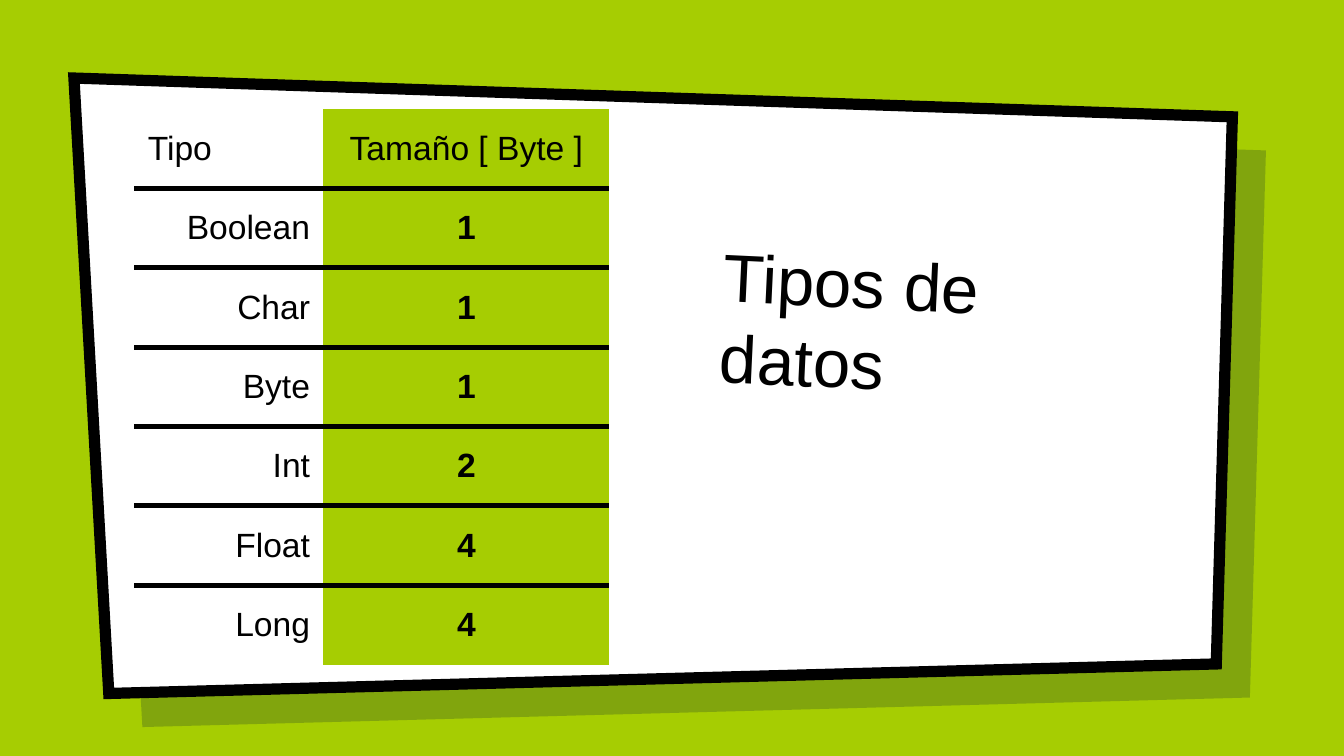
import pptx
import pptx.dml.color
import pptx.enum.text
import pptx.oxml.ns
import pptx.util
from lxml import etree

Pt = pptx.util.Pt
qn = pptx.oxml.ns.qn
ALIGN = pptx.enum.text.PP_ALIGN
ANCHOR = pptx.enum.text.MSO_ANCHOR

LIME, WHITE, BLACK, NAVY = "A6CD02", "FFFFFF", "000000", "001936"
FONT = "Arial"
TITLE = "Tipos de datos"
HEADER = ("Tipo", "Tamaño [ Byte ]")
TYPES = [
    ("Boolean", "1"),
    ("Char", "1"),
    ("Byte", "1"),
    ("Int", "2"),
    ("Float", "4"),
    ("Long", "4"),
]
PANEL = [(39.6, 41.8), (660.2, 62.6), (651.6, 355.7), (58.3, 371.5)]
SHADOW_OFFSET = 18
COLUMN_WIDTHS = (101.3, 153.2)
ROW_HEIGHT = 42.55


def color(hex_text):
    return pptx.dml.color.RGBColor.from_string(hex_text)


def paint(fill, hex_text):
    fill.solid()
    fill.fore_color.rgb = color(hex_text)


def format_text(frame, size, align, bold=False):
    for para in frame.paragraphs:
        para.alignment = align
        for span in para.runs:
            span.font.name = FONT
            span.font.size = Pt(size)
            span.font.bold = bold
            span.font.color.rgb = color(BLACK)


def add_panel(page, offset, fill):
    points = [(Pt(x + offset), Pt(y + offset)) for x, y in PANEL]
    builder = page.shapes.build_freeform(*points[0])
    builder.add_line_segments(points[1:], close=True)
    panel = builder.convert_to_shape()
    panel.shadow.inherit = False
    paint(panel.fill, fill)
    return panel


def set_borders(cell, ruled_sides):
    properties = cell._tc.get_or_add_tcPr()
    for side in ("lnL", "lnR", "lnT", "lnB"):
        border = etree.SubElement(properties, qn("a:" + side), w=str(Pt(3)))
        if side in ruled_sides:
            fill = etree.SubElement(border, qn("a:solidFill"))
            etree.SubElement(fill, qn("a:srgbClr"), val=BLACK)
        else:
            etree.SubElement(border, qn("a:noFill"))


def add_type_table(page):
    rows = [HEADER] + TYPES
    frame = page.shapes.add_table(
        len(rows), len(HEADER), Pt(72), Pt(58.3),
        Pt(sum(COLUMN_WIDTHS)), Pt(ROW_HEIGHT * len(rows)))
    table = frame.table
    table.first_row = False
    table.horz_banding = False
    for column, width in zip(table.columns, COLUMN_WIDTHS):
        column.width = Pt(width)
    for r, values in enumerate(rows):
        table.rows[r].height = Pt(ROW_HEIGHT)
        for c, value in enumerate(values):
            cell = table.cell(r, c)
            cell.text_frame.text = value
            cell.vertical_anchor = ANCHOR.MIDDLE
            cell.margin_left = cell.margin_right = Pt(7.2)
            cell.margin_top = cell.margin_bottom = Pt(5)
            first_align = ALIGN.RIGHT if r else ALIGN.LEFT
            align = ALIGN.CENTER if c else first_align
            format_text(cell.text_frame, 18, align, bold=r > 0 and c == 1)
            ruled = [side for side, shown in
                     (("lnT", r > 0), ("lnB", r < len(rows) - 1)) if shown]
            set_borders(cell, ruled)
            if c:
                paint(cell.fill, LIME)
            else:
                cell.fill.background()


def place_title(page):
    title = page.shapes.title
    title.left, title.top = Pt(378.7), Pt(158.4)
    title.width, title.height = Pt(207.4), Pt(65.5)
    title.rotation = 2.7
    frame = title.text_frame
    frame.text = TITLE
    frame.word_wrap = True
    frame.auto_size = pptx.enum.text.MSO_AUTO_SIZE.NONE
    frame.vertical_anchor = ANCHOR.BOTTOM
    frame.margin_left = frame.margin_right = Pt(7.2)
    frame.margin_top = frame.margin_bottom = Pt(7.2)
    format_text(frame, 36, ALIGN.LEFT)
    page.shapes._spTree.append(title._element)


def main():
    deck = pptx.Presentation()
    deck.slide_width, deck.slide_height = Pt(720), Pt(405)
    page = deck.slides.add_slide(deck.slide_layouts[5])
    paint(page.background.fill, LIME)

    shade = add_panel(page, SHADOW_OFFSET, NAVY)
    shade.line.fill.background()
    tint = shade._element.spPr.find(".//" + qn("a:srgbClr"))
    etree.SubElement(tint, qn("a:alpha"), val="22000")

    panel = add_panel(page, 0, WHITE)
    panel.line.width = Pt(6)
    paint(panel.line.fill, BLACK)
    etree.SubElement(panel.line._ln, qn("a:miter"), lim="800000")

    place_title(page)
    add_type_table(page)
    deck.save("out.pptx")


if __name__ == "__main__":
    main()
